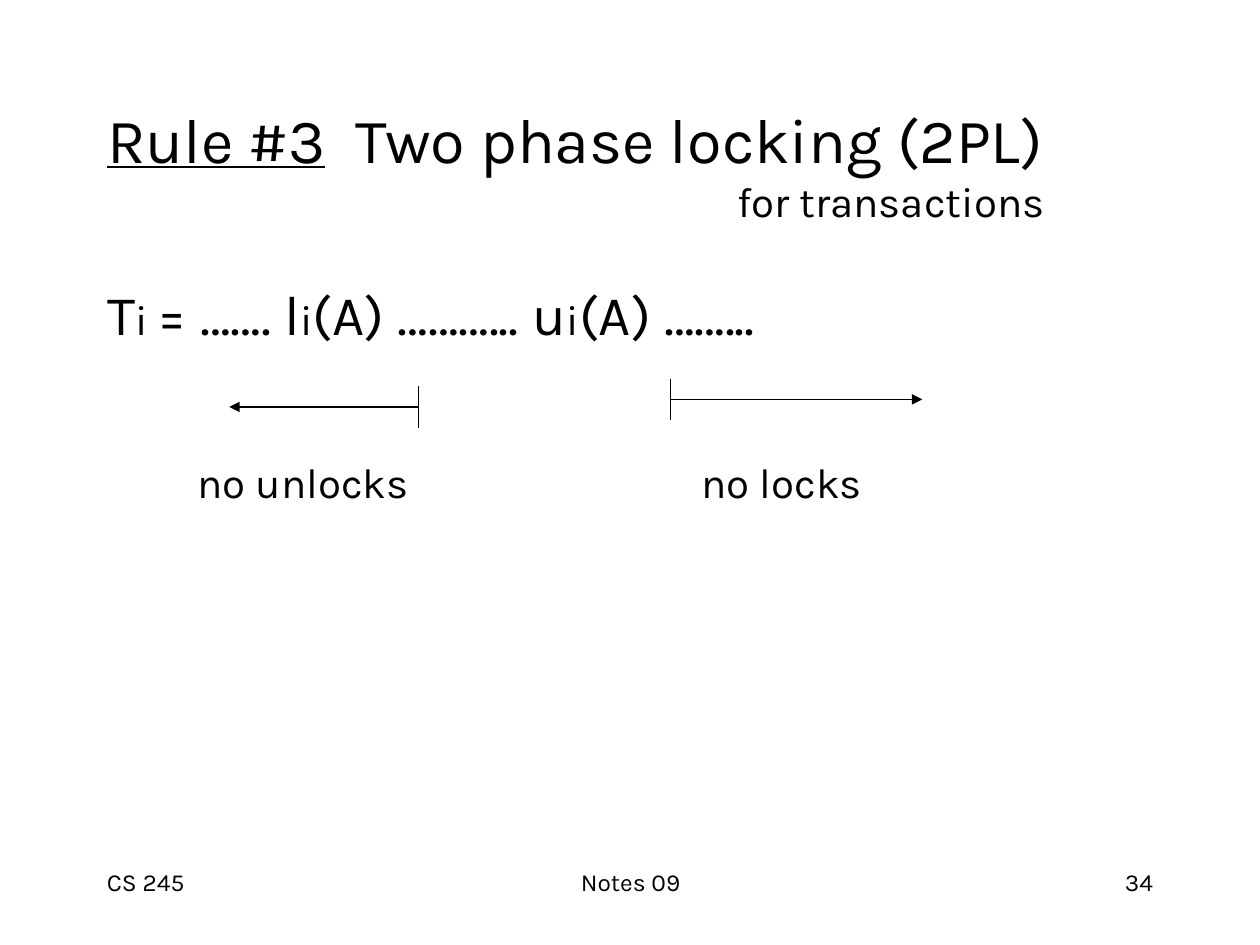
from dataclasses import dataclass

from lxml.etree import SubElement
from pptx import Presentation
from pptx.dml.color import RGBColor
from pptx.enum.shapes import MSO_CONNECTOR as Connector
from pptx.enum.text import MSO_ANCHOR as Anchor, MSO_AUTO_SIZE as AutoSize, PP_ALIGN as Align
from pptx.oxml.ns import qn
from pptx.util import Inches, Pt


@dataclass(frozen=True)
class Theme:
    font: str = "Karla"
    ink: RGBColor = RGBColor(0, 0, 0)
    title: int = 36
    formula: int = 32
    label: int = 24
    footer: int = 14
    line: float = 0.75


THEME = Theme()


def set_all(target, **values):
    for name, value in values.items():
        setattr(target, name, value)


def place(shape, left, top, width, height):
    set_all(shape, left=Inches(left), top=Inches(top),
            width=Inches(width), height=Inches(height))


def add_span(para, text, size, underline=False):
    span = para.add_run()
    span.text = text
    set_all(span.font, name=THEME.font, size=Pt(size), underline=underline)
    span.font.color.rgb = THEME.ink


def add_tab_stop(para, position):
    stops = SubElement(para._p.get_or_add_pPr(), qn("a:tabLst"))
    SubElement(stops, qn("a:tab"), pos=str(Inches(position)), algn="l")


def add_text_box(page, at, align=Align.LEFT, **frame_format):
    """Add an empty text box and return its first paragraph."""
    box = page.shapes.add_textbox(*map(Inches, at))
    set_all(box.text_frame, **{"word_wrap": True, **frame_format})
    para = box.text_frame.paragraphs[0]
    para.alignment = align
    return para


def add_line(page, start, end, arrow=False):
    line = page.shapes.add_connector(Connector.STRAIGHT, *map(Inches, (*start, *end)))
    line.line.color.rgb = THEME.ink
    line.line.width = Pt(THEME.line)
    if arrow:
        SubElement(line.line._get_or_add_ln(), qn("a:tailEnd"), type="triangle")
    SubElement(line._element.spPr, qn("a:effectLst"))


def add_bounded_arrow(page, x, y, length):
    """Draw an arrow that starts at an upright tick; a negative length points left."""
    half_tick = 0.165
    add_line(page, (x, y), (x + length, y), arrow=True)
    add_line(page, (x, y - half_tick), (x, y + half_tick))


def fill_title(title):
    place(title, 0.75, 0.67, 8.5, 1.25)
    set_all(title.text_frame, vertical_anchor=Anchor.MIDDLE, auto_size=AutoSize.NONE)
    para = title.text_frame.paragraphs[0]
    para.alignment = Align.LEFT
    add_tab_stop(para, 5)
    add_span(para, "Rule #3", THEME.title, underline=True)
    add_span(para, "  Two phase locking (2PL)", THEME.title)
    para.add_line_break()
    add_span(para, "\tfor transactions", THEME.label)


def fill_formula(body):
    place(body, 0.75, 2.17, 8.5, 4.5)
    body.text_frame.auto_size = AutoSize.NONE
    para = body.text_frame.paragraphs[0]
    properties = para._p.get_or_add_pPr()
    properties.set("marL", "0")
    properties.set("indent", "0")
    SubElement(properties, qn("a:buNone"))
    para.space_before = Pt(0)
    spans = ("T", "i ", "= ……. l", "i", "(A) ………... u", "i", "(A) ……...")
    for index, text in enumerate(spans):
        add_span(para, text, THEME.label if index % 2 else THEME.formula)


def add_phase_labels(page):
    para = add_text_box(page, (1.47, 3.57, 5.48, 0.5), word_wrap=False,
                        vertical_anchor=Anchor.MIDDLE,
                        auto_size=AutoSize.SHAPE_TO_FIT_TEXT)
    add_tab_stop(para, 4)
    add_span(para, "no unlocks\tno locks", THEME.label)


def add_footer(page):
    for text, left, width, align in (
        ("CS 245", 0.75, 2.08, Align.LEFT),
        ("Notes 09", 3.42, 3.17, Align.CENTER),
        ("34", 7.17, 2.08, Align.RIGHT),
    ):
        para = add_text_box(page, (left, 6.83, width, 0.5), align)
        add_span(para, text, THEME.footer)


def main():
    deck = Presentation()
    set_all(deck, slide_width=Inches(10), slide_height=Inches(7.5))
    page = deck.slides.add_slide(deck.slide_layouts[1])
    fill_title(page.shapes.title)
    fill_formula(page.placeholders[1])
    add_bounded_arrow(page, 3.32, 3.23, -1.5)
    add_bounded_arrow(page, 5.32, 3.17, 2)
    add_phase_labels(page)
    add_footer(page)
    deck.save("out.pptx")


if __name__ == "__main__":
    main()
